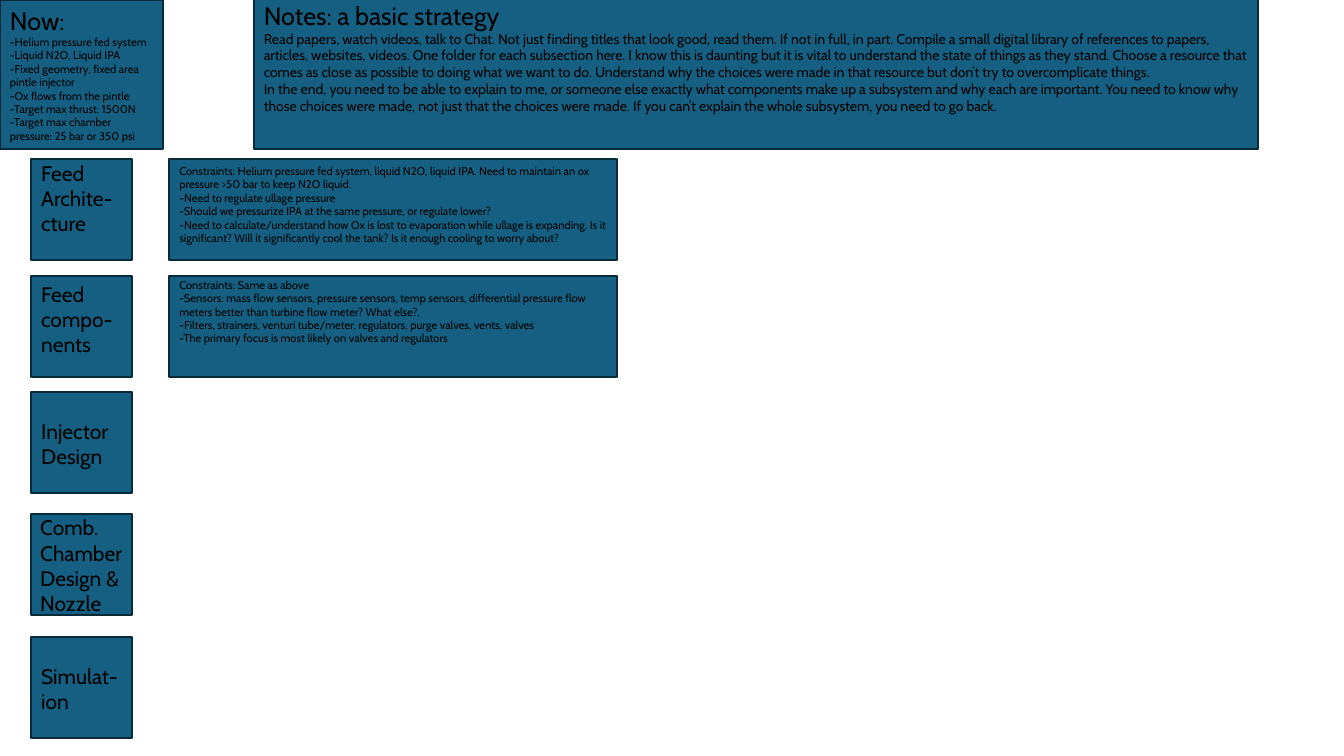
"""Build the subsystem strategy slide of a pressure-fed rocket engine."""
from pptx import Presentation
from pptx.dml.color import RGBColor
from pptx.enum import shapes, text
from pptx.util import Pt

COLORS = {"panel": "156082", "border": "092A39", "text": "000000"}
FONT = "Cabin"
TOPIC_LEFT, TOPIC_SIZE = 22.3, 72
DETAIL_LEFT, DETAIL_WIDTH = 121, 319.7

NOW = [
    "Now:",
    "-Helium pressure fed system",
    "-Liquid N2O, Liquid IPA",
    "-Fixed geometry, fixed area pintle injector",
    "-Ox flows from the pintle",
    "-Target max thrust: 1500N",
    "-Target max chamber pressure: 25 bar or 350 psi",
]
NOTES = [
    "Notes: a basic strategy",
    "Read papers, watch videos, talk to Chat. Not just finding titles that look good, "
    "read them. If not in full, in part. Compile a small digital library of references "
    "to papers, articles, websites, videos. One folder for each subsection here. I know "
    "this is daunting but it is vital to understand the state of things as they stand. "
    "Choose a resource that comes as close as possible to doing what we want to do. "
    "Understand why the choices were made in that resource but don’t try to "
    "overcomplicate things.\n"
    "In the end, you need to be able to explain to me, or someone else exactly what "
    "components make up a subsystem and why each are important. You need to know why "
    "those choices were made, not just that the choices were made. If you can’t explain "
    "the whole subsystem, you need to go back.",
]
ARCHITECTURE = [
    "Constraints: Helium pressure fed system, liquid N2O, liquid IPA. Need to maintain "
    "an ox pressure >50 bar to keep N2O liquid.",
    "-Need to regulate ullage pressure",
    "-Should we pressurize IPA at the same pressure, or regulate lower?",
    "-Need to calculate/understand how Ox is lost to evaporation while ullage is "
    "expanding. Is it significant? Will it significantly cool the tank? Is it enough "
    "cooling to worry about?",
]
COMPONENTS = [
    "Constraints: Same as above",
    "-Sensors: mass flow sensors, pressure sensors, temp sensors, differential pressure "
    "flow meters better than turbine flow meter? What else?.",
    "-Filters, strainers, venturi tube/meter, regulators, purge valves, vents, valves",
    "-The primary focus is most likely on valves and regulators",
]
# Box top, label, label box (left, top, width, height)
TOPICS = [
    (113.8, "Feed Archite-cture", (22.3, 110.9, 72, 61.9)),
    (197.3, "Feed compo-nents", (22.3, 197.3, 72, 61.9)),
    (280.1, "Injector Design", (22.3, 295.2, 85, 43.9)),
    (367.2, "Comb. Chamber Design & Nozzle", (21.6, 364.3, 85, 79.9)),
    (455, "Simulat-ion", (22.3, 470.2, 72, 43.9)),
]
# Panel top, text top, paragraphs
DETAILS = [(113.8, 113.8, ARCHITECTURE), (197.3, 195.1, COMPONENTS)]


def rgb(name):
    """Return the named colour."""
    return RGBColor.from_string(COLORS[name])


def add_panel(s, left, top, width, height):
    """Add a filled rectangle with a dark border."""
    sp = s.shapes.add_shape(shapes.MSO_SHAPE.RECTANGLE,
                            Pt(left), Pt(top), Pt(width), Pt(height))
    sp.shadow.inherit = False
    sp.fill.solid()
    sp.fill.fore_color.rgb = rgb("panel")
    sp.line.color.rgb = rgb("border")
    sp.line.width = Pt(1.5)


def add_text(s, box, lines, size, head_size=None):
    """Add wrapped paragraphs, the first one optionally larger."""
    tf = s.shapes.add_textbox(*map(Pt, box)).text_frame
    tf.word_wrap = True
    tf.auto_size = text.MSO_AUTO_SIZE.SHAPE_TO_FIT_TEXT
    for i, line in enumerate(lines):
        p = tf.add_paragraph() if i else tf.paragraphs[0]
        p.text = line
        for r in p.runs:
            r.font.name = FONT
            r.font.size = Pt(head_size if head_size and i == 0 else size)
            r.font.color.rgb = rgb("text")


def main():
    """Build and save the slide."""
    prs = Presentation()
    prs.slide_width, prs.slide_height = Pt(960), Pt(540)
    s = prs.slides.add_slide(prs.slide_layouts[6])

    add_panel(s, 181.4, -3.6, 717.1, 110.2)
    add_text(s, (181.4, -3.6, 717.1, 101.5), NOTES, 10, 18)
    add_panel(s, 0, 0, 116.6, 106.6)
    add_text(s, (0, 0, 116.6, 106.6), NOW, 8, 18)

    for top, label, box in TOPICS:
        add_panel(s, TOPIC_LEFT, top, TOPIC_SIZE, TOPIC_SIZE)
        add_text(s, box, [label], 15)
    for top, text_top, lines in DETAILS:
        add_panel(s, DETAIL_LEFT, top, DETAIL_WIDTH, TOPIC_SIZE)
        add_text(s, (DETAIL_LEFT, text_top, DETAIL_WIDTH, 65.5), lines, 8)

    prs.save("out.pptx")


if __name__ == "__main__":
    main()
